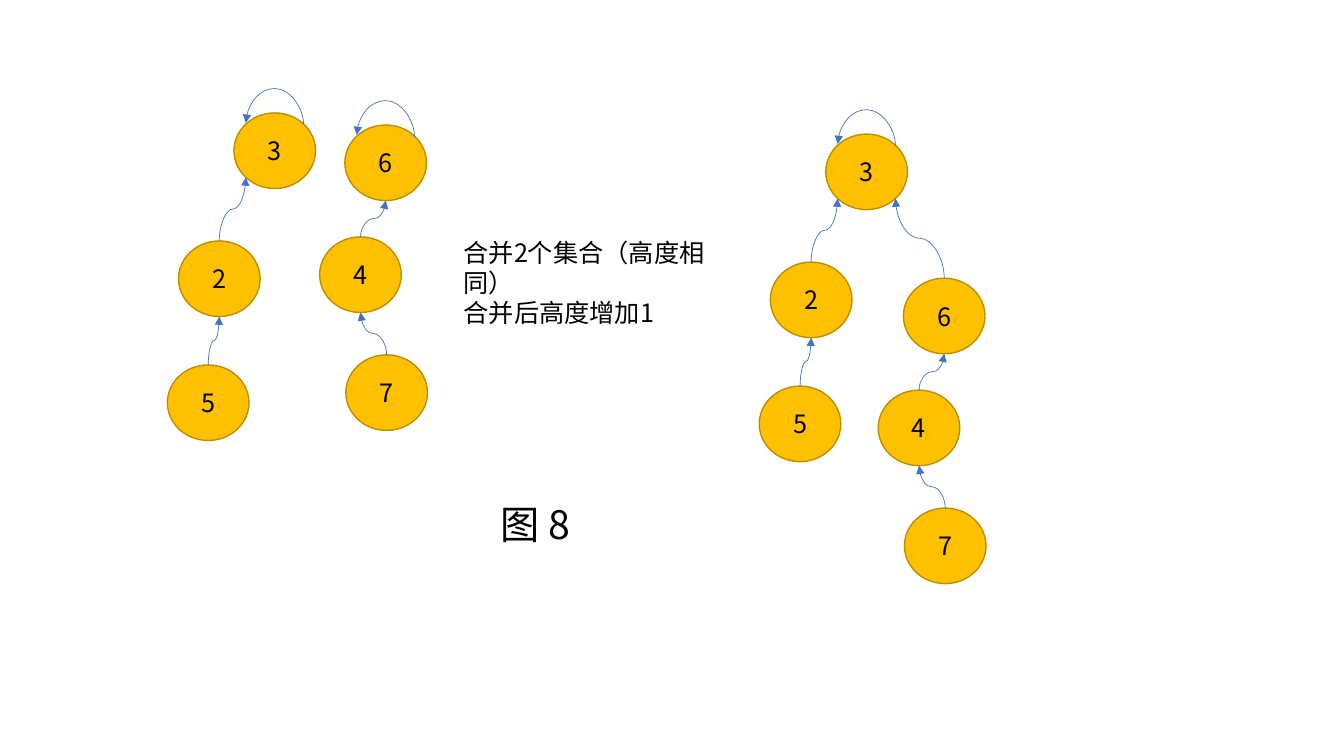
from dataclasses import dataclass

from lxml import etree
from pptx import Presentation
from pptx import util as u
from pptx.dml.color import RGBColor
from pptx.enum import shapes, text
from pptx.oxml.ns import qn


@dataclass
class Theme:
    font: str = "Noto Sans CJK SC"
    ink: str = "000000"
    node: str = "FFC000"
    node_edge: str = "BD8E00"
    link: str = "4472C4"
    body: int = 18
    caption: int = 28


theme = Theme()
prs = Presentation()
prs.slide_width, prs.slide_height = u.Inches(13.33), u.Inches(7.5)
s = prs.slides.add_slide(prs.slide_layouts[6])


def write(sp, lines, size=theme.body, align=text.PP_ALIGN.LEFT,
          anchor=text.MSO_ANCHOR.TOP):
    tf = sp.text_frame
    tf.word_wrap = True
    tf.vertical_anchor = anchor
    for i, line in enumerate(lines):
        p = tf.paragraphs[0] if i == 0 else tf.add_paragraph()
        p.alignment = align
        r = p.add_run()
        r.text = line
        r.font.size = u.Pt(size)
        r.font.name = theme.font
        r.font.color.rgb = RGBColor.from_string(theme.ink)
        ea = etree.SubElement(r.font._element, qn("a:ea"))
        ea.set("typeface", theme.font)


def curve(x1, y1, x2, y2, bend=0.5):
    """Upward S-curve: a flipped frame turned by a quarter."""
    cx, cy = (x1 + x2) / 2, (y1 + y2) / 2
    half_w, half_h = (y1 - y2) / 2, abs(x1 - x2) / 2
    side = 1 if x2 > x1 else -1
    c = s.shapes.add_connector(
        shapes.MSO_CONNECTOR.CURVE,
        u.Inches(cx + side * half_w), u.Inches(cy + half_h),
        u.Inches(cx - side * half_w), u.Inches(cy - half_h))
    c.line.color.rgb = RGBColor.from_string(theme.link)
    c.line.width = u.Pt(0.5)
    sp_pr = c._element.spPr
    sp_pr.find(qn("a:xfrm")).set("rot", str((90 if side > 0 else 270) * 60000))
    geom = sp_pr.find(qn("a:prstGeom"))
    guides = geom.find(qn("a:avLst"))
    if guides is None:
        guides = etree.SubElement(geom, qn("a:avLst"))
    guide = etree.SubElement(guides, qn("a:gd"))
    guide.set("name", "adj1")
    guide.set("fmla", f"val {round(bend * 100000)}")
    etree.SubElement(c.line._get_or_add_ln(), qn("a:tailEnd")).set("type", "triangle")
    etree.SubElement(sp_pr, qn("a:effectLst"))


# Chains of nodes from root to leaf: label, left, top
W, H = 0.81, 0.75
DIAG_X, DIAG_Y = W / 2 * 0.707, H / 2 * 0.707
chain_3 = [("3", 2.32, 1.12), ("2", 1.77, 2.39), ("5", 1.66, 3.62)]
chain_6 = [("6", 3.42, 1.24), ("4", 3.17, 2.35), ("7", 3.43, 3.52)]

# Chain, shift right, shift down, root points to itself
placements = [
    (chain_3, 0, 0, True),
    (chain_6, 0, 0, True),
    (chain_3, 5.87, 0.21, True),
    (chain_6, 5.54, 1.52, False),
]
LOOP_RISE, LOOP_DROP = 0.36, 0.02

for chain, dx, dy, is_root in placements:
    parent = None
    for label, left, top in chain:
        x, y = left + dx, top + dy
        cx = x + W / 2

        # Node
        sp = s.shapes.add_shape(shapes.MSO_SHAPE.OVAL, u.Inches(x), u.Inches(y),
                                u.Inches(W), u.Inches(H))
        sp.shadow.inherit = False
        sp.fill.solid()
        sp.fill.fore_color.rgb = RGBColor.from_string(theme.node)
        sp.line.color.rgb = RGBColor.from_string(theme.node_edge)
        sp.line.width = u.Pt(1)
        write(sp, [label], align=text.PP_ALIGN.CENTER,
              anchor=text.MSO_ANCHOR.MIDDLE)

        # Link to the parent, or loop on a root
        if parent:
            parent_label, px, py = parent
            if parent_label == "3":
                curve(cx, y, px - DIAG_X, py + H / 2 + DIAG_Y)
            else:
                curve(cx, y, px, py + H)
        elif is_root:
            shoulder = y + H / 2 - DIAG_Y
            curve(cx + DIAG_X, shoulder + LOOP_DROP / 2,
                  cx - DIAG_X, shoulder - LOOP_DROP / 2, LOOP_RISE / LOOP_DROP)
        parent = (label, cx, y)

# Merge link: root 6 now points to root 3
_, left_3, top_3 = chain_3[0]
_, left_6, top_6 = chain_6[0]
curve(left_6 + 5.54 + W / 2, top_6 + 1.52,
      left_3 + 5.87 + W / 2 + DIAG_X, top_3 + 0.21 + H / 2 + DIAG_Y)

# Explanation and caption
note = s.shapes.add_textbox(u.Inches(4.5), u.Inches(2.3), u.Inches(2.9), u.Inches(0.71))
write(note, ["合并2个集合（高度相同）", "合并后高度增加1"])
caption = s.shapes.add_textbox(u.Inches(4.87), u.Inches(4.91), u.Inches(0.91), u.Inches(0.57))
write(caption, ["图 8"], size=theme.caption)

prs.save("out.pptx")
